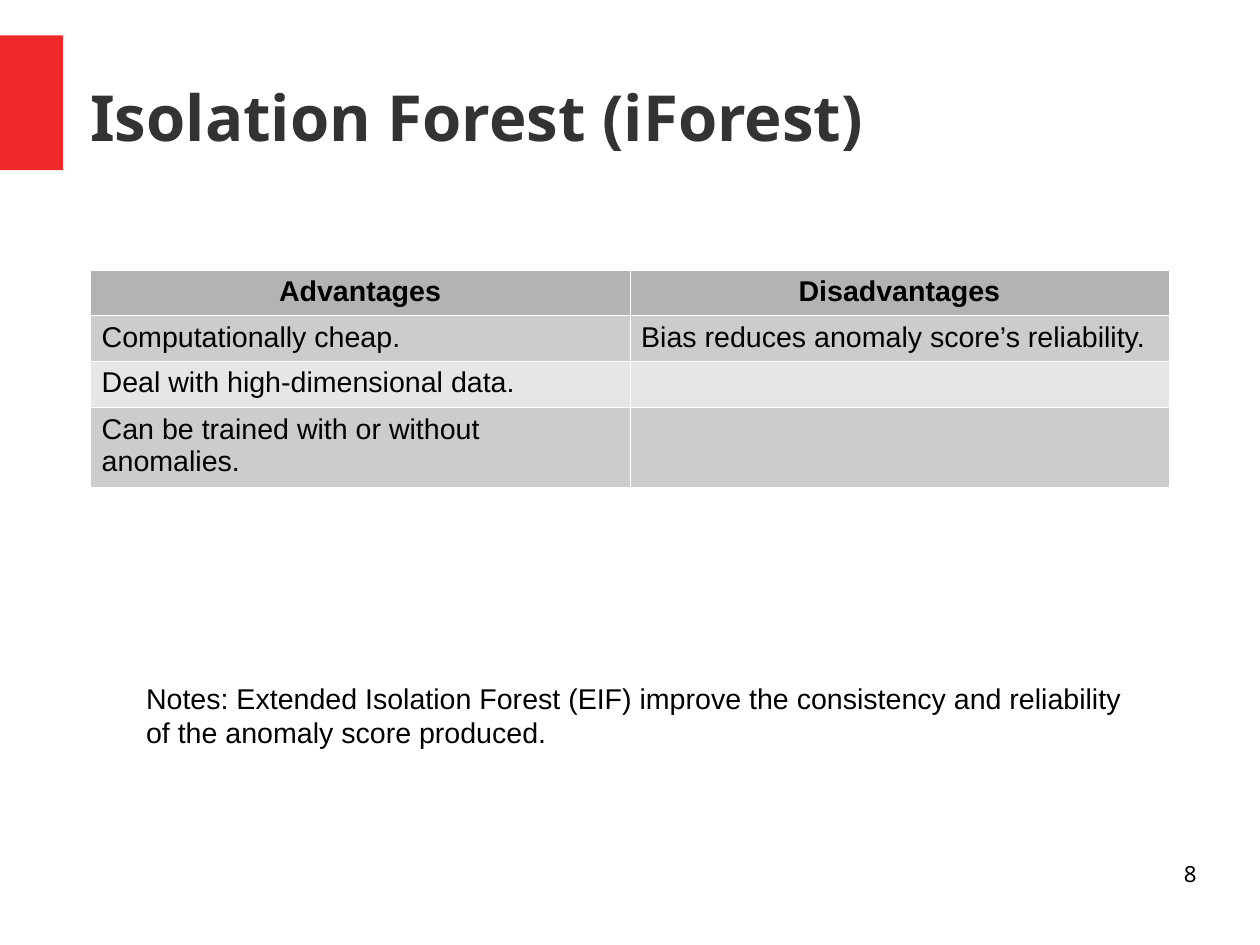
from dataclasses import dataclass

import pptx
import pptx.dml.color
import pptx.enum.shapes
import pptx.enum.text
import pptx.oxml
import pptx.oxml.ns
import pptx.util
from pptx.dml.color import RGBColor
from pptx.util import Inches

# 28 x 21 cm page, snapped to eighths of a point
PAGE_WIDTH = pptx.util.Emu(10080625)
PAGE_HEIGHT = pptx.util.Emu(7559675)

RED = RGBColor(0xEF, 0x29, 0x29)
CHARCOAL = RGBColor(0x33, 0x33, 0x33)
BLACK = RGBColor(0x00, 0x00, 0x00)
HEADER_GRAY = RGBColor(0xB3, 0xB3, 0xB3)
DARK_BAND = RGBColor(0xCC, 0xCC, 0xCC)
LIGHT_BAND = RGBColor(0xE6, 0xE6, 0xE6)

LEFT = pptx.enum.text.PP_ALIGN.LEFT
CENTER = pptx.enum.text.PP_ALIGN.CENTER
RIGHT = pptx.enum.text.PP_ALIGN.RIGHT


@dataclass(frozen=True)
class TextStyle:
    size: float
    font: str
    color: RGBColor = BLACK
    bold: bool = False
    align: pptx.enum.text.PP_ALIGN = LEFT


@dataclass(frozen=True)
class TextBox:
    text: str
    left: float
    top: float
    width: float
    height: float
    style: TextStyle
    inset_x: float = 0
    inset_y: float = 0


TITLE_STYLE = TextStyle(40, "Noto Sans", CHARCOAL, bold=True)
HEADER_STYLE = TextStyle(18, "Arial", bold=True, align=CENTER)
BODY_STYLE = TextStyle(18, "Arial")
NUMBER_STYLE = TextStyle(14, "Noto Sans", align=RIGHT)

ROWS = [
    ("Advantages", "Disadvantages"),
    ("Computationally cheap.", "Bias reduces anomaly score’s reliability."),
    ("Deal with high-dimensional data.", ""),
    ("Can be trained with or without anomalies.", ""),
]
ROW_HEIGHTS = [0.4, 0.4, 0.4, 0.7]

TEXT_BOXES = [
    TextBox("Notes: Extended Isolation Forest (EIF) improve the consistency and "
            "reliability of the anomaly score produced.",
            1.18, 5.91, 8.74, 0.66, BODY_STYLE, 0.1, 0.05),
    TextBox("8", 7.9, 7.53, 2.57, 0.57, NUMBER_STYLE),
]


def write(frame, text: str, style: TextStyle) -> None:
    para = frame.paragraphs[0]
    para.alignment = style.align
    para.font.size = pptx.util.Pt(style.size)
    if not text:
        return
    span = para.add_run()
    span.text = text
    span.font.size = pptx.util.Pt(style.size)
    span.font.name = style.font
    span.font.bold = style.bold
    span.font.color.rgb = style.color


def set_insets(frame, across: float, down: float) -> None:
    frame.margin_left = frame.margin_right = Inches(across)
    frame.margin_top = frame.margin_bottom = Inches(down)


def add_text_box(page, item: TextBox) -> None:
    box = page.shapes.add_textbox(Inches(item.left), Inches(item.top),
                                  Inches(item.width), Inches(item.height))
    frame = box.text_frame
    frame.word_wrap = True
    set_insets(frame, item.inset_x, item.inset_y)
    write(frame, item.text, item.style)


def add_white_borders(cell) -> None:
    properties = cell._tc.get_or_add_tcPr()
    for index, side in enumerate(("lnL", "lnR", "lnT", "lnB")):
        line = pptx.oxml.parse_xml(
            f'<a:{side} {pptx.oxml.ns.nsdecls("a")} w="720"><a:solidFill>'
            f'<a:srgbClr val="FFFFFF"/></a:solidFill></a:{side}>')
        properties.insert(index, line)


def add_comparison(page) -> None:
    frame = page.shapes.add_table(len(ROWS), 2, Inches(0.79), Inches(2.36),
                                  Inches(9.44), Inches(sum(ROW_HEIGHTS)))
    table = frame.table
    for index, (texts, height) in enumerate(zip(ROWS, ROW_HEIGHTS)):
        table.rows[index].height = Inches(height)
        style = BODY_STYLE if index else HEADER_STYLE
        band = DARK_BAND if index % 2 else LIGHT_BAND
        for column, text in enumerate(texts):
            cell = table.cell(index, column)
            set_insets(cell, 0.1, 0.05)
            cell.fill.solid()
            cell.fill.fore_color.rgb = band if index else HEADER_GRAY
            add_white_borders(cell)
            write(cell.text_frame, text, style)


def add_accent(page) -> None:
    accent = page.shapes.add_shape(pptx.enum.shapes.MSO_SHAPE.RECTANGLE, Inches(0),
                                   Inches(0.31), Inches(0.55), Inches(1.18))
    accent.shadow.inherit = False
    accent.fill.solid()
    accent.fill.fore_color.rgb = RED
    accent.line.fill.background()


def format_title(page) -> None:
    title = page.shapes.title
    title.left, title.top = Inches(0.79), Inches(0.33)
    title.width, title.height = Inches(9.68), Inches(1.38)
    frame = title.text_frame
    frame.word_wrap = True
    frame.vertical_anchor = pptx.enum.text.MSO_ANCHOR.MIDDLE
    set_insets(frame, 0, 0)
    write(frame, "Isolation Forest (iForest)", TITLE_STYLE)


def main() -> None:
    deck = pptx.Presentation()
    deck.slide_width, deck.slide_height = PAGE_WIDTH, PAGE_HEIGHT
    page = deck.slides.add_slide(deck.slide_layouts[5])

    # Heading
    add_accent(page)
    format_title(page)

    # Comparison table
    add_comparison(page)

    # Remark and page number
    for item in TEXT_BOXES:
        add_text_box(page, item)

    deck.save("out.pptx")


if __name__ == "__main__":
    main()
